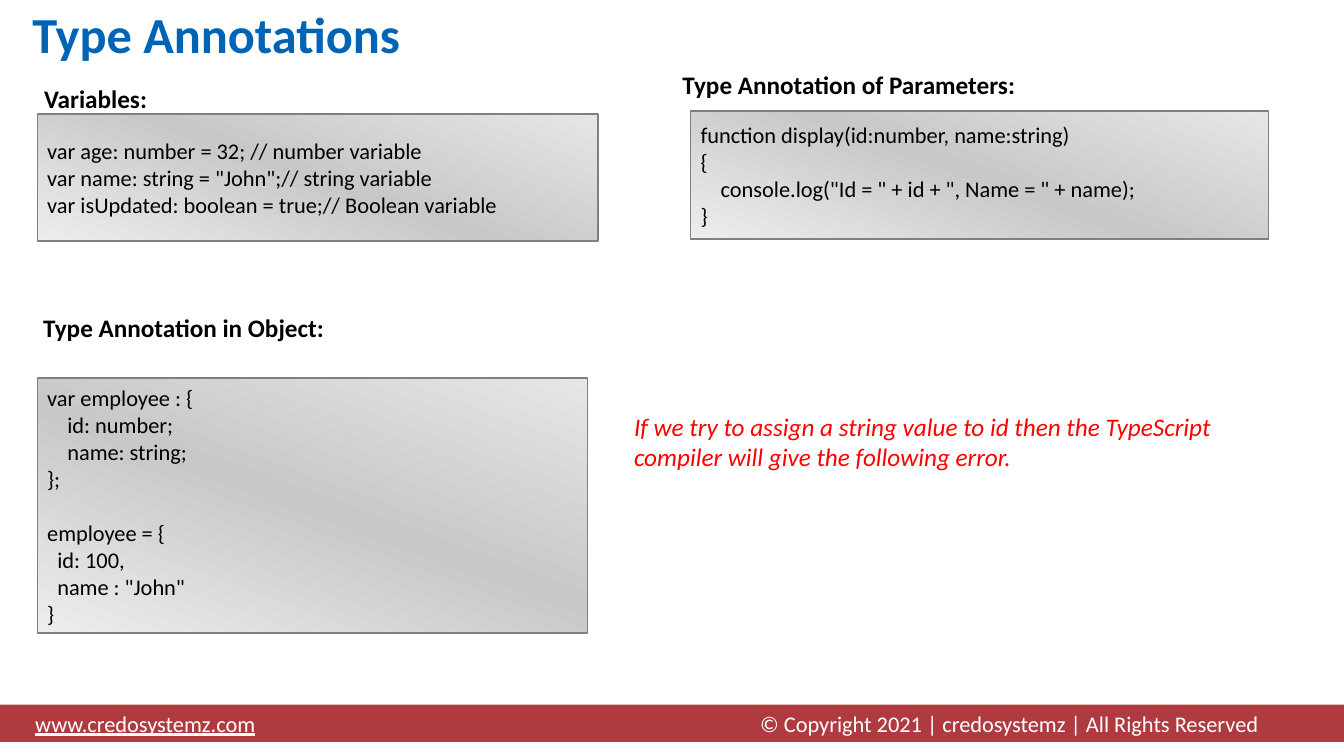
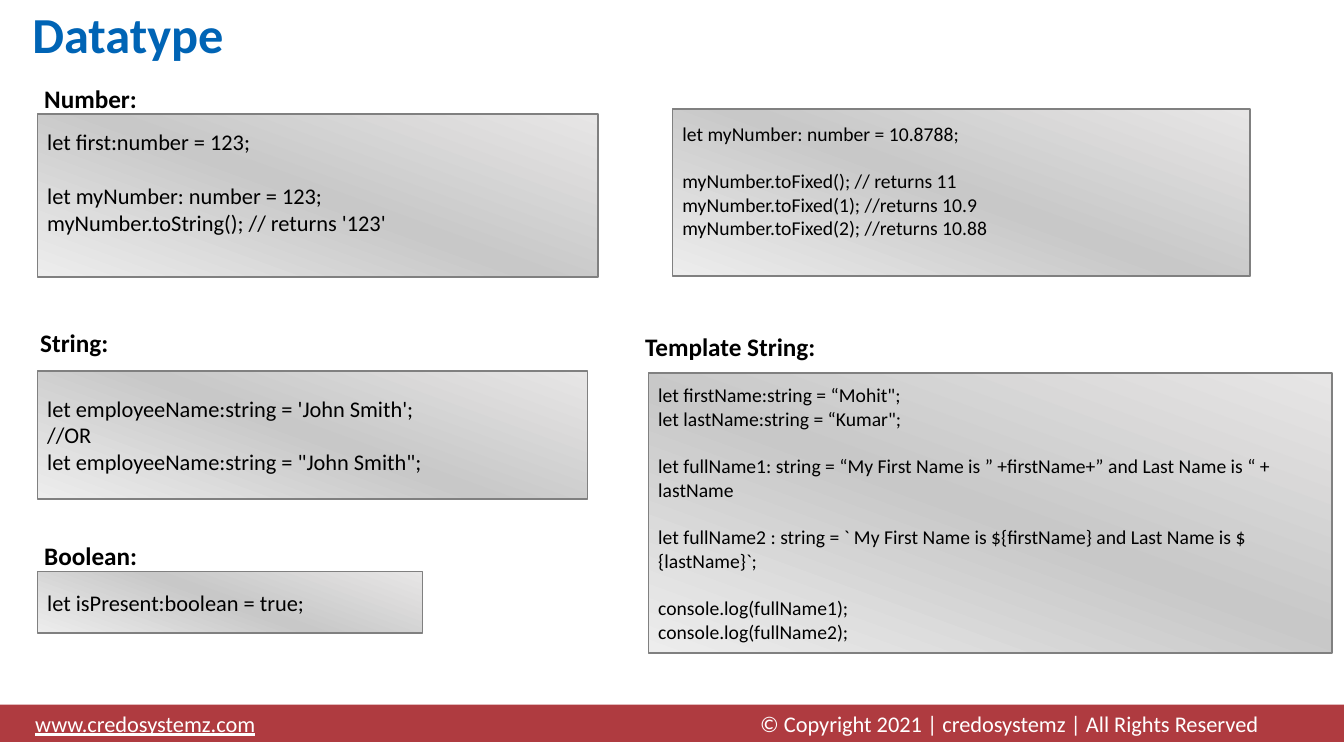
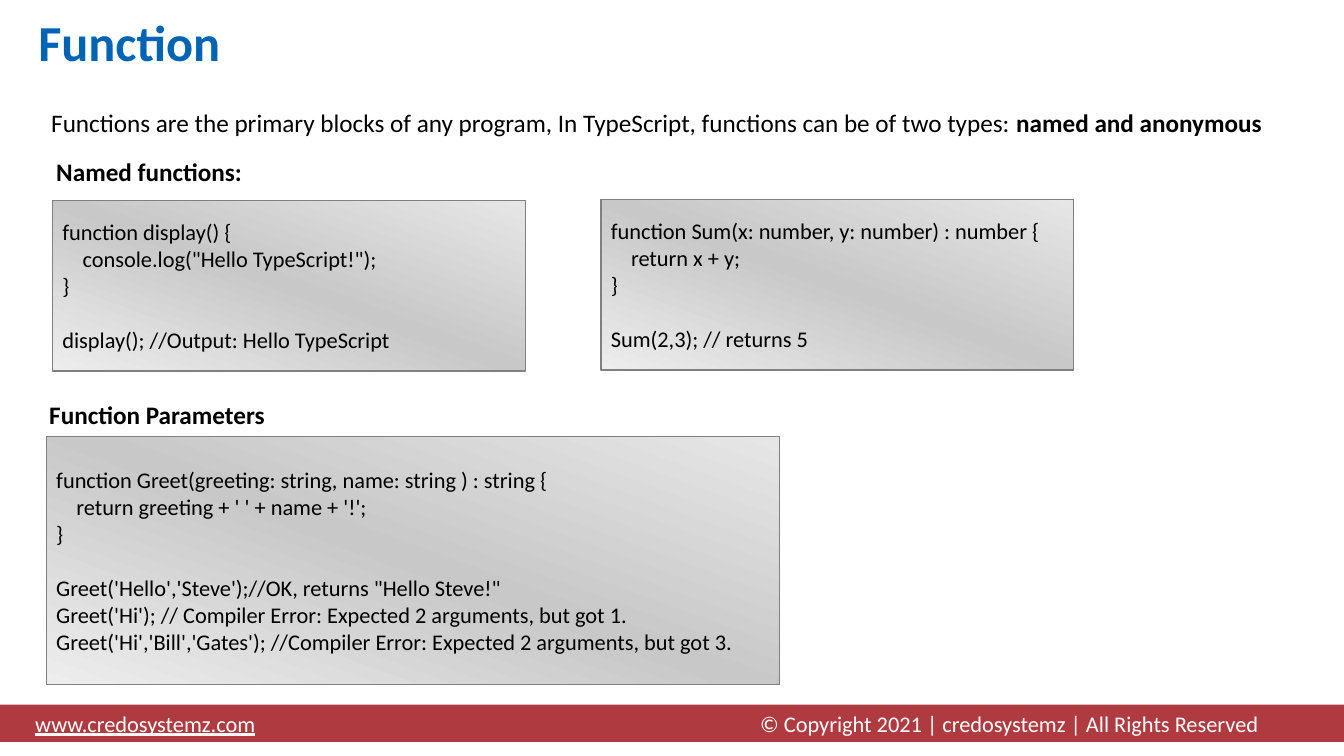
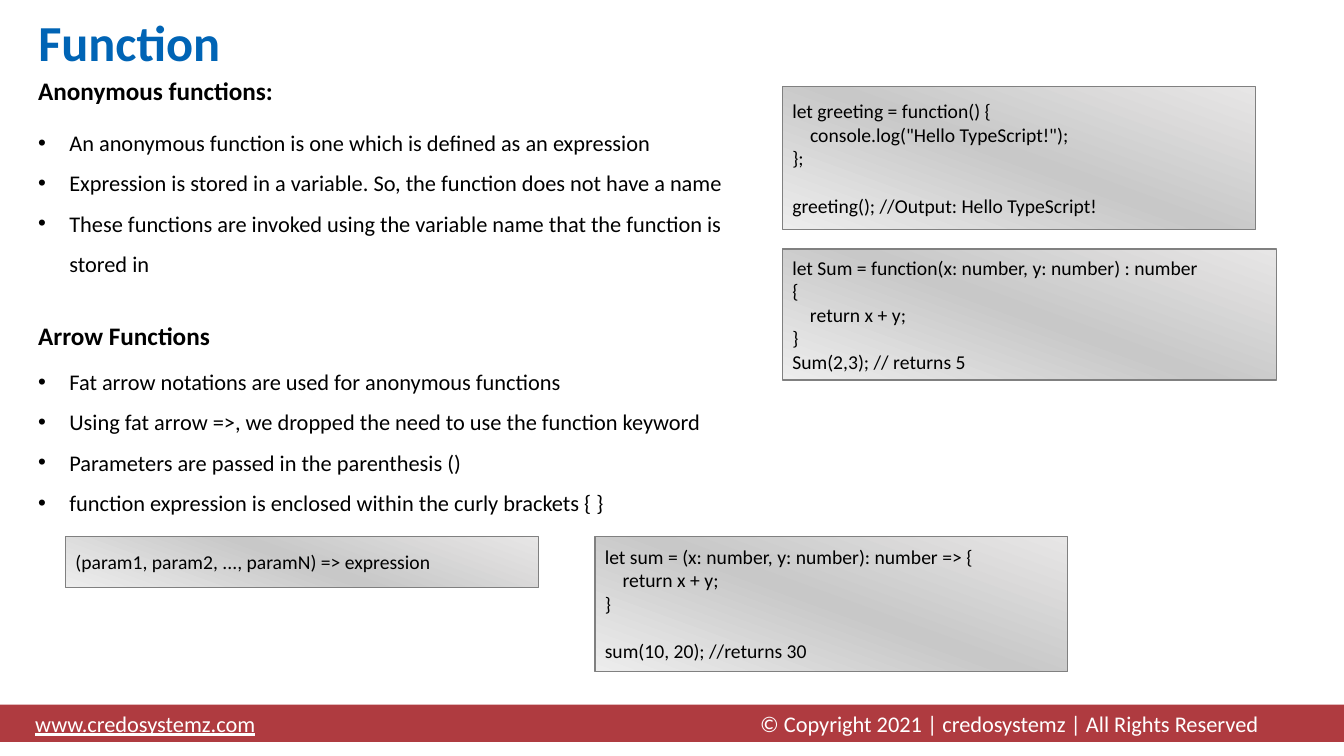
import copy

import pptx
import pptx.dml.color
import pptx.enum.shapes
import pptx.enum.text
import pptx.oxml
import pptx.oxml.ns
import pptx.util
from pptx.util import Inches

COLORS = {
    "title": "0064B5",
    "text": "000000",
    "error": "FF0000",
    "band": "AF3B40",
    "band_text": "FFFFFF",
    "code_line": "808080",
    "code_start": "E7E6E6",
    "code_middle": "C8C8C8",
    "code_end": "EDEDED",
}
CODE_STOPS = [(0, "code_start"), (0.5, "code_middle"), (1, "code_end")]
FONT = "Calibri"
LINE_HEIGHT = 1.22


def rgb(name):
    return pptx.dml.color.RGBColor.from_string(COLORS[name])


class Deck:
    def __init__(self):
        self.prs = pptx.Presentation()
        self.prs.slide_width = Inches(13.33)
        self.prs.slide_height = Inches(7.5)
        self.s = None

    def slide(self, title, left=0.28, top=0.1):
        self.s = self.prs.slides.add_slide(self.prs.slide_layouts[5])
        sp = self.s.shapes.title
        sp.left, sp.top = Inches(left), Inches(top)
        sp.width, sp.height = Inches(10.71), Inches(0.69)
        tf = sp.text_frame
        tf.auto_size = pptx.enum.text.MSO_AUTO_SIZE.NONE
        tf.text = title
        p = tf.paragraphs[0]
        p.alignment = pptx.enum.text.PP_ALIGN.LEFT
        p.line_spacing = 0.9
        self.font(p, 36, "title", bold=True)
        self.footer()

    def font(self, p, size, color="text", bold=False, italic=False):
        p.font.name = FONT
        p.font.size = pptx.util.Pt(size)
        p.font.bold = bold
        p.font.italic = italic
        p.font.color.rgb = rgb(color)

    def rect(self, left, top, width, height):
        sp = self.s.shapes.add_shape(
            pptx.enum.shapes.MSO_SHAPE.RECTANGLE,
            Inches(left), Inches(top), Inches(width), Inches(height))
        sp.shadow.inherit = False
        sp.text_frame.word_wrap = True
        sp.text_frame.vertical_anchor = pptx.enum.text.MSO_ANCHOR.MIDDLE
        return sp

    def footer(self):
        sp = self.rect(0, 6.99, 13.33, 0.37)
        sp.fill.solid()
        sp.fill.fore_color.rgb = rgb("band")
        sp.line.fill.background()
        tf = sp.text_frame
        tf.margin_left = Inches(0.35)
        p = tf.paragraphs[0]
        p.alignment = pptx.enum.text.PP_ALIGN.LEFT
        self.add_xml(p, f'<a:tabLst %s><a:tab pos="{Inches(7.19)}" algn="l"/></a:tabLst>')
        self.font(p, 16, "band_text")
        r = p.add_run()
        r.text = "www.credosystemz.com"
        r.font.underline = True
        p.add_run().text = "\t© Copyright 2021 | credosystemz | All Rights Reserved"

    def add_xml(self, p, xml):
        p._p.get_or_add_pPr().append(
            pptx.oxml.parse_xml(xml % pptx.oxml.ns.nsdecls("a")))

    def textbox(self, left, top, width, height):
        tf = self.s.shapes.add_textbox(
            Inches(left), Inches(top), Inches(width), Inches(height)).text_frame
        tf.word_wrap = True
        return tf

    def text(self, left, top, text, width=4, height=0.4, **style):
        p = self.textbox(left, top, width, height).paragraphs[0]
        p.text = text
        self.font(p, 18, **style)
        return p

    def heading(self, left, top, text):
        self.text(left, top, text, bold=True)

    def bullets(self, left, top, items):
        tf = self.textbox(left, top, 7.29, 1.72)
        for i, item in enumerate(items):
            p = tf.add_paragraph() if i else tf.paragraphs[0]
            p.text = item
            p.line_spacing = 1.5
            pPr = p._p.get_or_add_pPr()
            pPr.set("marL", str(Inches(0.31)))
            pPr.set("indent", str(-Inches(0.31)))
            self.add_xml(p, '<a:buFont %s typeface="Arial"/>')
            self.add_xml(p, '<a:buChar %s char="•"/>')
            self.font(p, 16)

    def code(self, left, top, width, height, source, size=16):
        sp = self.rect(left, top, width, height)
        sp.fill.gradient()
        sp.fill.gradient_angle = 250
        stops = sp.element.spPr.find(".//" + pptx.oxml.ns.qn("a:gsLst"))
        stops.append(copy.deepcopy(stops[0]))
        for stop, (position, color) in zip(sp.fill.gradient_stops, CODE_STOPS):
            stop.position = position
            stop.color.rgb = rgb(color)
        sp.line.color.rgb = rgb("code_line")
        sp.line.width = pptx.util.Pt(1)
        tf = sp.text_frame
        blank_line = pptx.util.Pt(size * LINE_HEIGHT)
        gap = 0
        p = None
        for line in source.strip("\n").split("\n"):
            if not line:
                gap += blank_line
                continue
            p = tf.add_paragraph() if p else tf.paragraphs[0]
            p.text = line
            p.alignment = pptx.enum.text.PP_ALIGN.LEFT
            if gap:
                p.space_before = gap
            gap = 0
            self.font(p, size)
        if source.endswith("\n\n"):
            tf.margin_bottom += blank_line


def type_annotations(d):
    d.slide("Type Annotations", 0.22, 0.02)
    d.heading(0.34, 0.78, "Variables:")
    d.code(0.37, 1.13, 5.56, 1.26, """
var age: number = 32; // number variable
var name: string = "John";// string variable
var isUpdated: boolean = true;// Boolean variable
""")
    d.heading(6.67, 0.64, "Type Annotation of Parameters:")
    d.code(6.85, 1.1, 5.73, 1.27, """
function display(id:number, name:string)
{
    console.log("Id = " + id + ", Name = " + name);
}
""")
    d.heading(0.33, 3.05, "Type Annotation in Object:")
    d.code(0.37, 3.75, 5.46, 2.53, """
var employee : {
    id: number;
    name: string;
};

employee = {
  id: 100,
  name : "John"
}
""")
    d.text(6.19, 4.03, "If we try to assign a string value to id then the TypeScript "
           "compiler will give the following error.",
           6.67, 0.71, color="error", italic=True)


def datatype(d):
    d.slide("Datatype", 0.22, 0.02)
    d.heading(0.34, 0.78, "Number:")
    d.code(0.37, 1.13, 5.56, 1.62, """
let first:number = 123;

let myNumber: number = 123;
myNumber.toString(); // returns '123'

""")
    d.code(6.67, 1.08, 5.73, 1.66, """
let myNumber: number = 10.8788;

myNumber.toFixed(); // returns 11
myNumber.toFixed(1); //returns 10.9
myNumber.toFixed(2); //returns 10.88

""", 14)
    d.heading(0.3, 3.2, "String:")
    d.code(0.37, 3.68, 5.46, 1.27, """
let employeeName:string = 'John Smith';
//OR
let employeeName:string = "John Smith";
""")
    d.heading(6.3, 3.24, "Template String:")
    d.code(6.43, 3.7, 6.78, 2.78, """
let firstName:string = “Mohit";
let lastName:string = “Kumar";

let fullName1: string = “My First Name is ” +firstName+” and Last Name is “ + lastName

let fullName2 : string = ` My First Name is ${firstName} and Last Name is ${lastName}`;

console.log(fullName1);
console.log(fullName2);
""", 14)
    d.heading(0.34, 5.31, "Boolean:")
    d.code(0.37, 5.67, 3.82, 0.61, "let isPresent:boolean = true;")


def named_functions(d):
    d.slide("Function")
    p = d.text(0.41, 1.02, "Functions are the primary blocks of any program, In TypeScript, "
               "functions can be of two types: ", 12.5)
    r = p.add_run()
    r.text = "named and anonymous"
    r.font.bold = True
    d.heading(0.46, 1.5, "Named functions:")
    d.code(0.52, 1.99, 4.69, 1.69, """
function display() {
    console.log("Hello TypeScript!");
}

display(); //Output: Hello TypeScript
""")
    d.code(5.96, 1.98, 4.69, 1.69, """
function Sum(x: number, y: number) : number {
    return x + y;
}

Sum(2,3); // returns 5
""")
    d.heading(0.39, 3.91, "Function Parameters")
    d.code(0.46, 4.33, 7.27, 2.46, """
function Greet(greeting: string, name: string ) : string {
    return greeting + ' ' + name + '!';
}

Greet('Hello','Steve');//OK, returns "Hello Steve!"
Greet('Hi'); // Compiler Error: Expected 2 arguments, but got 1.
Greet('Hi','Bill','Gates'); //Compiler Error: Expected 2 arguments, but got 3.
""")


def anonymous_functions(d):
    d.slide("Function")
    d.heading(0.28, 0.7, "Anonymous functions:")
    d.bullets(0.28, 1.1, [
        "An anonymous function is one which is defined as an expression",
        "Expression is stored in a variable. So, the function does not have a name",
        "These functions are invoked using the variable name that the function is stored in",
    ])
    d.code(7.76, 0.86, 4.69, 1.42, """
let greeting = function() {
    console.log("Hello TypeScript!");
};

greeting(); //Output: Hello TypeScript!
""", 14)
    d.code(7.76, 2.47, 4.9, 1.3, """
let Sum = function(x: number, y: number) : number
{
    return x + y;
}
Sum(2,3); // returns 5
""", 14)
    d.heading(0.28, 3.13, "Arrow Functions")
    d.bullets(0.28, 3.47, [
        "Fat arrow notations are used for anonymous functions",
        "Using fat arrow =>, we dropped the need to use the function keyword",
        "Parameters are passed in the parenthesis ()",
        "function expression is enclosed within the curly brackets { }",
    ])
    d.code(0.65, 5.32, 4.69, 0.51, "(param1, param2, ..., paramN) => expression", 14)
    d.code(5.9, 5.32, 4.69, 1.34, """
let sum = (x: number, y: number): number => {
    return x + y;
}

sum(10, 20); //returns 30
""", 14)


def main():
    d = Deck()
    for build in (type_annotations, datatype, named_functions, anonymous_functions):
        build(d)
    d.prs.save("out.pptx")


if __name__ == "__main__":
    main()
